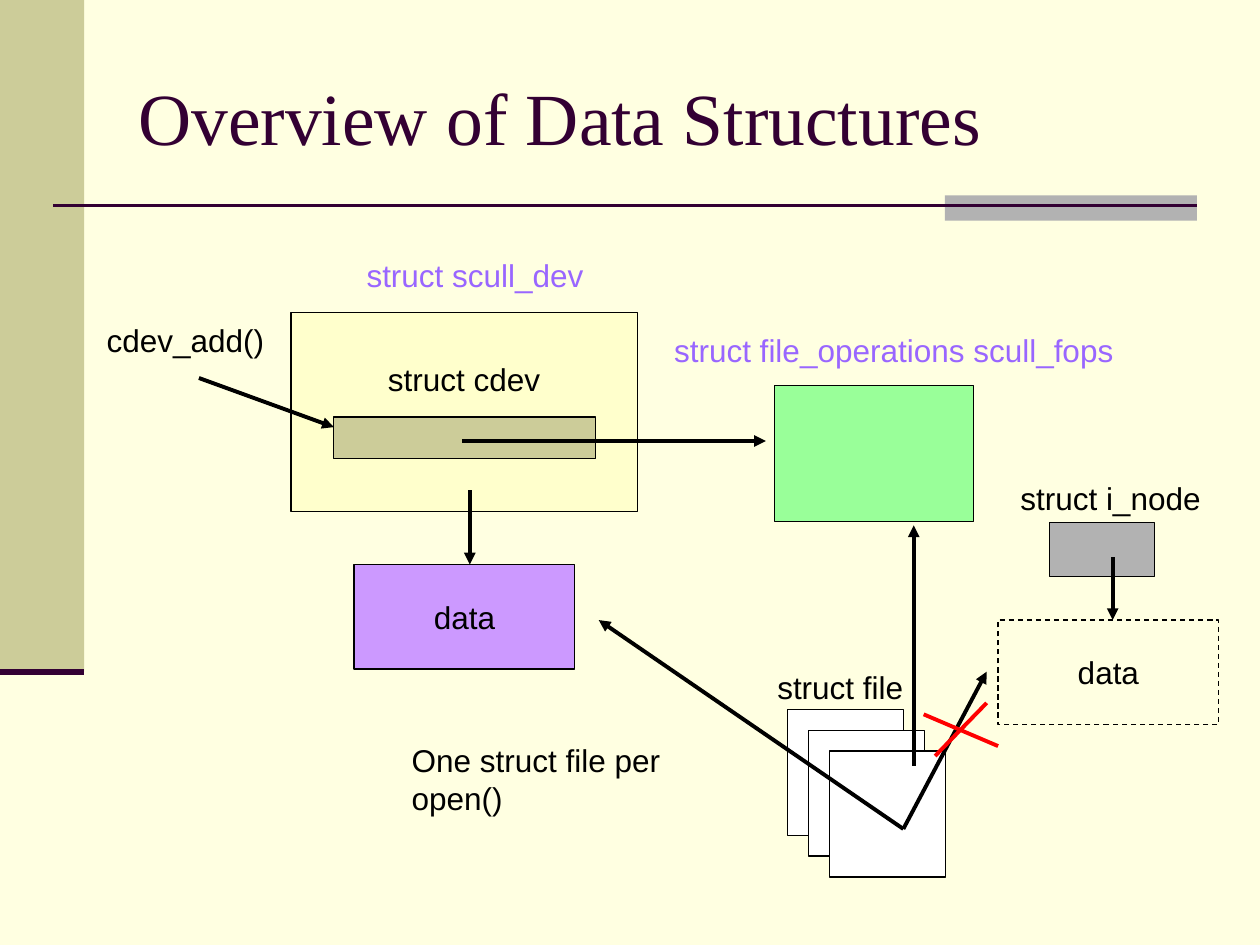
from lxml import etree
from pptx import Presentation
from pptx import util as u
from pptx.dml.color import RGBColor
from pptx.enum import dml, shapes, text
from pptx.oxml import ns

INK, PLUM, SAND, GREY, VIOLET = "000000", "330033", "CCCC99", "B2B2B2", "9966FF"
SLOT = (4.45, 2.11)


def tint(code):
    return RGBColor.from_string(code)


def write(shape, words, color=INK, size=18, font="Arial", align=text.PP_ALIGN.LEFT):
    para = shape.text_frame.paragraphs[0]
    para.text = words
    para.alignment = align
    para.font.name = font
    para.font.size = u.Pt(size)
    para.font.color.rgb = tint(color)


def block(slide, x, y, w, h, fill=None, edge=INK, words=None):
    box = slide.shapes.add_shape(shapes.MSO_SHAPE.RECTANGLE, *map(u.Cm, (x, y, w, h)))
    box.shadow.inherit = False
    if fill:
        box.fill.solid()
        box.fill.fore_color.rgb = tint(fill)
    else:
        box.fill.background()
    if edge:
        box.line.color.rgb = tint(edge)
        box.line.width = u.Pt(0.75)
    else:
        box.line.fill.background()
    if words:
        box.text_frame.word_wrap = False
        box.text_frame.vertical_anchor = text.MSO_ANCHOR.MIDDLE
        write(box, words, align=text.PP_ALIGN.CENTER)
    return box


def label(slide, x, y, w, words, color=INK):
    box = slide.shapes.add_textbox(*map(u.Cm, (x, y, w, 1.02)))
    box.text_frame.word_wrap = False
    box.text_frame.auto_size = text.MSO_AUTO_SIZE.SHAPE_TO_FIT_TEXT
    write(box, words, color)


def line(slide, x, y, end_x, end_y, color=INK, width=2.25):
    rule = slide.shapes.add_connector(
        shapes.MSO_CONNECTOR.STRAIGHT, *map(u.Cm, (x, y, end_x, end_y)))
    rule.line.color.rgb = tint(color)
    rule.line.width = u.Pt(width)
    etree.SubElement(rule._element.spPr, ns.qn("a:effectLst"))
    return rule


def arrow(slide, *ends):
    rule = line(slide, *ends)
    etree.SubElement(rule.line._get_or_add_ln(), ns.qn("a:tailEnd"), type="triangle")


def frame(slide, x, y, w, h):
    block(slide, x, y, 1.7, h, SAND, None)
    block(slide, x + w - 5.08, y + 3.94, 5.08, 0.51, GREY, None)
    line(slide, x + 1.07, y + 4.14, x + w, y + 4.14, PLUM, 1.5)
    line(slide, x, y + h, x + 1.7, y + h, PLUM, 3.5)
    title = slide.shapes.add_textbox(*map(u.Cm, (x + 2.54, y + 0.76, 21.59, 3.18)))
    title.text_frame.word_wrap = True
    title.text_frame.vertical_anchor = text.MSO_ANCHOR.MIDDLE
    write(title, "Overview of Data Structures", PLUM, 42, "Times New Roman")


def device(slide, x, y, w, h):
    block(slide, x, y, w, h, "FFFFCC")
    label(slide, x + 1.27, y - 1.27, 4.88, "struct scull_dev", VIOLET)
    block(slide, x + 0.86, y + 2.11, 5.28, 0.84, SAND)
    label(slide, x + 1.7, y + 0.84, 3.58, "struct cdev")
    label(slide, x - 3.97, y + 0.05, 3.68, "cdev_add()")
    arrow(slide, x - 1.86, y + 1.32, x + 0.86, y + 2.31)
    block(slide, x + 1.27, y + 5.08, *SLOT, "CC99FF", words="data")
    arrow(slide, x + 3.6, y + 3.58, x + 3.6, y + 5.08)


def table(slide, x, y, w, h):
    block(slide, x, y, w, h, "99FF99")
    label(slide, x - 2.28, y - 1.22, 9.37, "struct file_operations scull_fops", VIOLET)
    arrow(slide, x - 6.3, y + 1.12, x - 0.18, y + 1.12)


def node(slide, x, y, w, h):
    block(slide, x, y, w, h, GREY)
    label(slide, x - 0.84, y - 1.01, 4.14, "struct i_node")
    data = block(slide, x - 1.04, y + 1.96, *SLOT, words="data")
    data.line.dash_style = dml.MSO_LINE.DASH
    arrow(slide, x + 1.27, y + 0.69, x + 1.27, y + 1.96)


def files(slide, x, y, w, h):
    for n in range(3):
        block(slide, x + 0.42 * n, y + 0.42 * n, w, h, "FFFFFF")
    label(slide, x - 0.46, y - 0.96, 3.05, "struct file")
    label(slide, x - 7.83, y + 0.51, 7.52, "One struct file per open()")
    for end_x, end_y in ((4.01, -0.76), (-3.81, -1.8)):
        arrow(slide, x + 2.33, y + 2.41, x + end_x, y + end_y)
    line(slide, x + 4.01, y - 0.13, x + 2.97, y + 0.94, "FF0000")
    line(slide, x + 2.74, y + 0.1, x + 4.24, y + 0.74, "FF0000")
    arrow(slide, x + 2.54, y + 1.14, x + 2.54, y - 3.71)


def main():
    deck = Presentation()
    deck.slide_width, deck.slide_height = u.Cm(25.4), u.Cm(19.05)
    slide = deck.slides.add_slide(deck.slide_layouts[6])
    slide.background.fill.solid()
    slide.background.fill.fore_color.rgb = tint("FFFFE1")
    frame(slide, 0, 0, 24.13, 13.54)
    device(slide, 5.87, 6.3, 6.99, 4.01)
    table(slide, 15.62, 7.77, 4.01, 2.74)
    node(slide, 21.16, 10.54, 2.11, 1.09)
    files(slide, 15.88, 14.3, 2.34, 2.54)
    deck.save("out.pptx")


if __name__ == "__main__":
    main()
